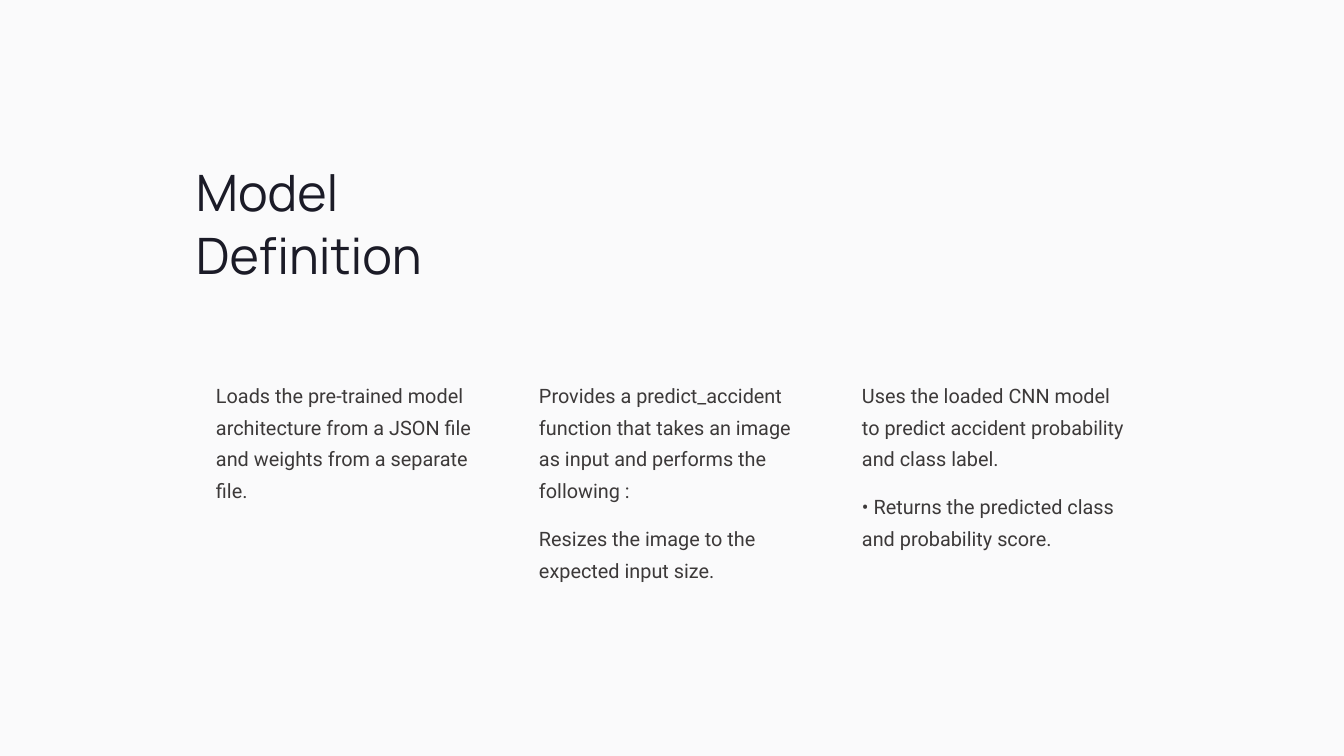
import pptx
import pptx.dml.color
import pptx.enum.shapes
import pptx.enum.text
import pptx.oxml.ns
import pptx.util
from lxml import etree

RGBColor = pptx.dml.color.RGBColor
LAVENDER = RGBColor(0xEC, 0xEC, 0xF3)
WHITE = RGBColor(0xFF, 0xFF, 0xFF)
TITLE_INK = RGBColor(0x1B, 0x1B, 0x27)
BODY_INK = RGBColor(0x3C, 0x39, 0x39)

PX_PER_INCH = 84
SLIDE_WIDTH, SLIDE_HEIGHT = 1344, 756
INSET = 4
LINE_HEIGHT = 32
BLOCK_GAP = 10

# Each column is a list of (text, line count)
COLUMNS = [
    [("Loads the pre-trained model architecture from a JSON file "
      "and weights from a separate file.", 4)],
    [("Provides a predict_accident function that takes an image "
      "as input and performs the following :", 4),
     ("Resizes the image to the expected input size.", 2)],
    [("Uses the loaded CNN model to predict accident probability "
      "and class label.", 3),
     ("• Returns the predicted class and probability score.", 2)],
]


def px(length):
    return pptx.util.Emu(round(length * 914400 / PX_PER_INCH))


def add_text(slide, box, text, font_name, size, color, line_spacing):
    text_box = slide.shapes.add_textbox(*map(px, box))
    frame = text_box.text_frame
    frame.word_wrap = True
    frame.auto_size = pptx.enum.text.MSO_AUTO_SIZE.SHAPE_TO_FIT_TEXT
    frame.margin_left = frame.margin_right = px(INSET)
    frame.margin_top = frame.margin_bottom = px(INSET)
    paragraph = frame.paragraphs[0]
    paragraph.line_spacing = pptx.util.Pt(line_spacing)
    run = paragraph.add_run()
    run.text = text
    run.font.name = font_name
    run.font.size = pptx.util.Pt(size)
    run.font.color.rgb = color


def add_backdrop(slide, box):
    # Lavender base under a 75 % white veil
    for color, opacity in ((LAVENDER, 100), (WHITE, 75)):
        shape = slide.shapes.add_shape(
            pptx.enum.shapes.MSO_SHAPE.RECTANGLE, *map(px, box))
        shape.shadow.inherit = False
        shape.line.fill.background()
        shape.fill.solid()
        shape.fill.fore_color.rgb = color
        if opacity < 100:
            qn = pptx.oxml.ns.qn
            fill_color = shape.fill._xPr.find(".//" + qn("a:srgbClr"))
            etree.SubElement(fill_color, qn("a:alpha"), val=str(opacity * 1000))


def add_title(slide, box):
    add_text(slide, box, "Model Definition", "Manrope", 43, TITLE_INK, 54)


def add_columns(slide, box, column_width):
    left, top, width, _ = box
    pitch = (width - column_width) / (len(COLUMNS) - 1)
    for index, blocks in enumerate(COLUMNS):
        block_top = top
        for text, line_count in blocks:
            height = line_count * LINE_HEIGHT + 5
            block_box = (left + index * pitch, block_top, column_width, height)
            add_text(slide, block_box, text, "Roboto", 17, BODY_INK, 27)
            block_top += height + BLOCK_GAP


def main():
    presentation = pptx.Presentation()
    presentation.slide_width = px(SLIDE_WIDTH)
    presentation.slide_height = px(SLIDE_HEIGHT)
    slide = presentation.slides.add_slide(presentation.slide_layouts[6])

    add_backdrop(slide, (0, 0, SLIDE_WIDTH, SLIDE_HEIGHT))
    add_title(slide, (192, 155, 370, 71))
    add_columns(slide, (212, 372, 920, 213), column_width=274)

    presentation.save("out.pptx")


if __name__ == "__main__":
    main()
